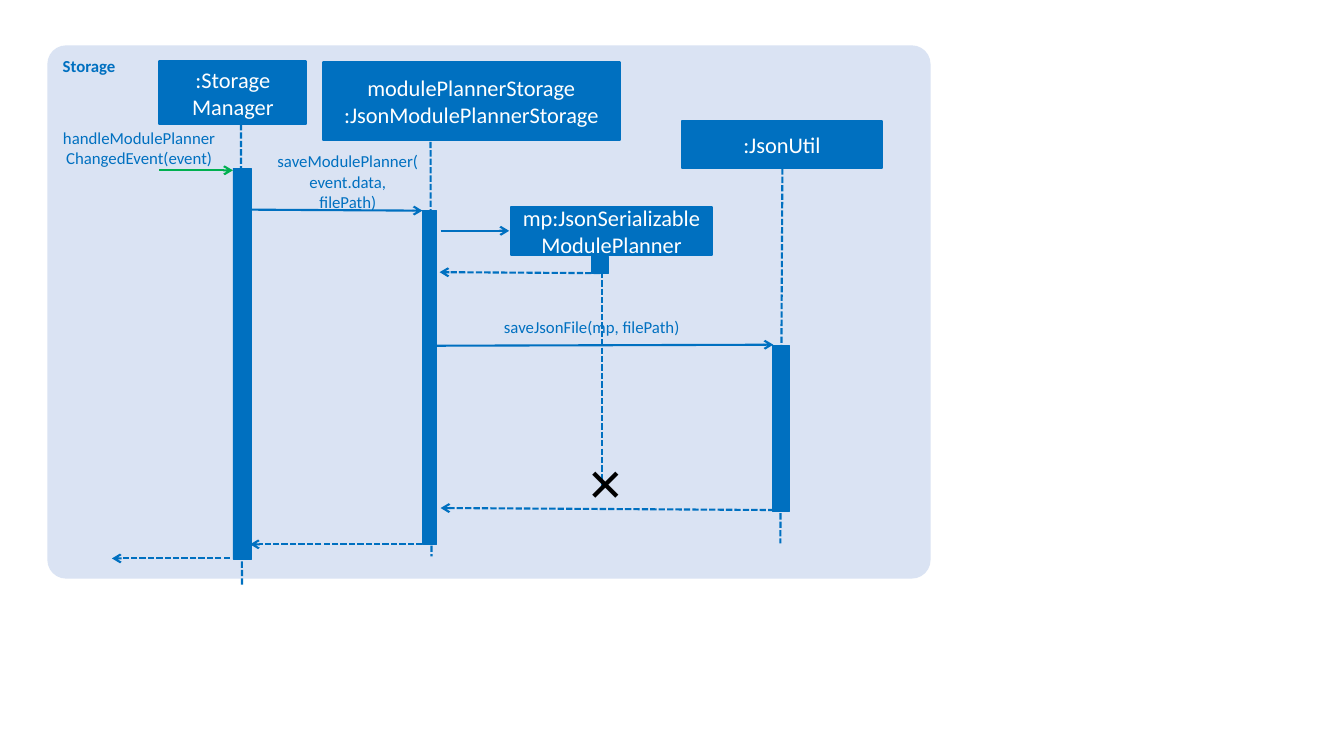
from dataclasses import dataclass

from lxml import etree
from pptx import Presentation
from pptx import util as u
from pptx.dml.color import RGBColor
from pptx.enum import dml, shapes, text
from pptx.oxml.ns import qn

EMU_PER_PX = 9144  # 100 px to the inch
BLUE, GREEN, WHITE, BLACK, PALE = "0070C0", "00B050", "FFFFFF", "000000", "DAE3F3"
CENTER, LEFT = text.PP_ALIGN.CENTER, text.PP_ALIGN.LEFT
TOP, MIDDLE = text.MSO_ANCHOR.TOP, text.MSO_ANCHOR.MIDDLE


@dataclass(frozen=True)
class Block:
    left: int
    top: int
    width: int
    height: int
    lines: tuple[str, ...] = ()


@dataclass(frozen=True)
class Line:
    x1: int
    y1: int
    x2: int
    y2: int
    dashed: bool = False
    color: str = BLUE


FRAME = Block(47, 45, 876, 529, ("Storage",))

PARTICIPANTS = [
    Block(158, 61, 146, 62, (":Storage Manager",)),
    Block(320, 62, 295, 77, ("modulePlannerStorage", ":JsonModulePlannerStorage")),
    Block(507, 205, 199, 48, ("mp:JsonSerializableModulePlanner",)),
    Block(676, 120, 199, 47, (":JsonUtil",)),
]

LIFELINES = [
    Line(239, 123, 240, 580, dashed=True),
    Line(427, 124, 428, 552, dashed=True),
    Line(597, 253, 597, 485, dashed=True),
    Line(776, 167, 774, 539, dashed=True),
]

ACTIVATIONS = [
    Block(231, 167, 18, 388),
    Block(419, 209, 14, 331),
    Block(587, 254, 16, 17),
    Block(766, 343, 17, 164),
]

CALLS = [
    Line(158, 169, 231, 169, color=GREEN),
    Line(249, 208, 419, 209),
    Line(437, 229, 505, 229),
    Line(430, 343, 767, 342),
]

RETURNS = [
    Line(595, 271, 436, 270, dashed=True),
    Line(768, 506, 437, 504, dashed=True),
    Line(419, 540, 248, 540, dashed=True),
    Line(228, 554, 111, 554, dashed=True),
]

CALL_LABELS = [
    Block(32, 127, 212, 40, ("handleModulePlanner", "ChangedEvent(event)")),
    Block(273, 150, 144, 61, ("saveModulePlanner(", "event.data,", "filePath)")),
    Block(447, 314, 280, 20, ("saveJsonFile(mp, filePath)",)),
]

DESTRUCTION = Block(572, 448, 44, 64, ("✕",))


def px(*lengths: int) -> list[u.Emu]:
    return [u.Emu(length * EMU_PER_PX) for length in lengths]


def rgb(color: str) -> RGBColor:
    return RGBColor.from_string(color)


def write(frame, lines: tuple[str, ...], size: int, color: str,
          align=CENTER, anchor=MIDDLE, bold: bool = False) -> None:
    frame.word_wrap = True
    frame.vertical_anchor = anchor
    font_format = {"name": "Calibri", "size": u.Pt(size), "bold": bold}
    for index, line in enumerate(lines):
        paragraph = frame.add_paragraph() if index else frame.paragraphs[0]
        paragraph.alignment = align
        run = paragraph.add_run()
        run.text = line
        for attribute, value in font_format.items():
            setattr(run.font, attribute, value)
        run.font.color.rgb = rgb(color)


def draw_block(slide, block: Block, fill: str, line_width: float = 0,
               kind=shapes.MSO_SHAPE.RECTANGLE):
    shape = slide.shapes.add_shape(
        kind, *px(block.left, block.top, block.width, block.height))
    shape.shadow.inherit = False
    shape.fill.solid()
    shape.fill.fore_color.rgb = rgb(fill)
    if line_width:
        shape.line.color.rgb = rgb(fill)
        shape.line.width = u.Pt(line_width)
    else:
        shape.line.fill.background()
    return shape


def draw_line(slide, line: Line, arrow: bool = False) -> None:
    connector = slide.shapes.add_connector(
        shapes.MSO_CONNECTOR.STRAIGHT, *px(line.x1, line.y1, line.x2, line.y2))
    connector.line.color.rgb = rgb(line.color)
    connector.line.width = u.Pt(1.5)
    if line.dashed:
        connector.line.dash_style = dml.MSO_LINE.SQUARE_DOT
    properties = connector.line._get_or_add_ln()
    if arrow:
        etree.SubElement(properties, qn("a:tailEnd"), type="arrow")
    etree.SubElement(properties.getparent(), qn("a:effectLst"))


def draw_label(slide, label: Block, size: int, color: str, align=CENTER,
               inset: bool = False) -> None:
    box = slide.shapes.add_textbox(
        *px(label.left, label.top, label.width, label.height))
    frame = box.text_frame
    if not inset:
        for side in ("left", "top", "right", "bottom"):
            setattr(frame, f"margin_{side}", 0)
    write(frame, label.lines, size, color, align, TOP)
    frame.auto_size = text.MSO_AUTO_SIZE.SHAPE_TO_FIT_TEXT


def main() -> None:
    deck = Presentation()
    deck.slide_width, deck.slide_height = px(1333, 750)
    slide = deck.slides.add_slide(deck.slide_layouts[6])

    storage = draw_block(slide, FRAME, PALE, kind=shapes.MSO_SHAPE.ROUNDED_RECTANGLE)
    storage.adjustments[0] = 0.035
    write(storage.text_frame, FRAME.lines, 12, BLUE, LEFT, TOP, bold=True)

    for participant in PARTICIPANTS:
        head = draw_block(slide, participant, BLUE, 1.5)
        write(head.text_frame, participant.lines, 16, WHITE)
    for lifeline in LIFELINES:
        draw_line(slide, lifeline)
    for activation in ACTIVATIONS:
        draw_block(slide, activation, BLUE, 0.5)
    for message in CALLS + RETURNS:
        draw_line(slide, message, arrow=True)
    for label in CALL_LABELS:
        draw_label(slide, label, 12, BLUE)
    draw_label(slide, DESTRUCTION, 32, BLACK, LEFT, inset=True)

    deck.save("out.pptx")


if __name__ == "__main__":
    main()
